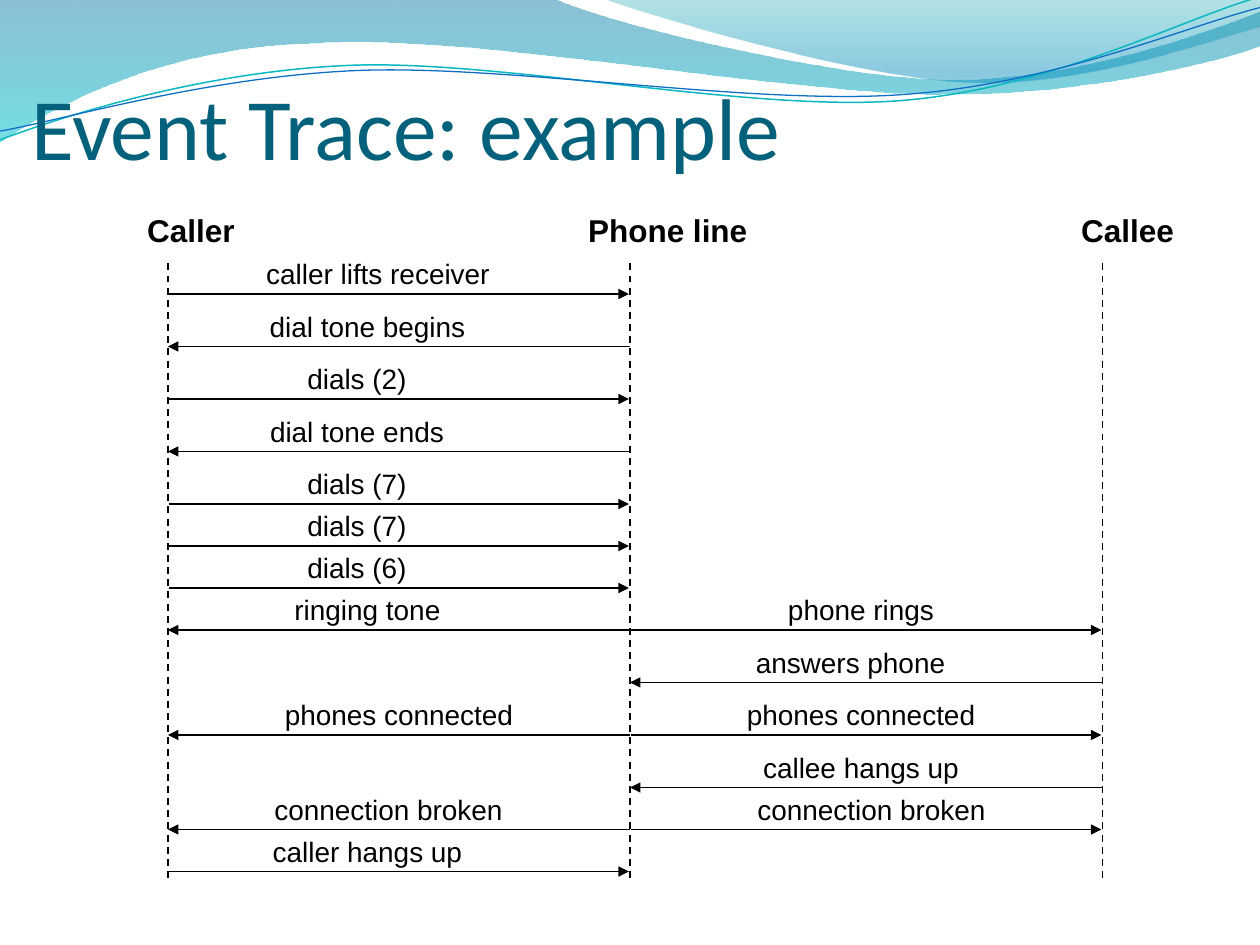
from lxml.etree import Element, SubElement
from pptx import Presentation
from pptx.dml.color import RGBColor
from pptx.enum.dml import MSO_LINE
from pptx.enum.shapes import MSO_CONNECTOR
from pptx.enum.text import MSO_ANCHOR, MSO_AUTO_SIZE, PP_ALIGN
from pptx.oxml.ns import qn
from pptx.util import Pt

BLACK = RGBColor(0x00, 0x00, 0x00)
TITLE_TEAL = RGBColor(0x04, 0x61, 0x7B)
WAVE_BLUE = RGBColor(0x00, 0x74, 0xA1)
WAVE_CYAN = RGBColor(0x00, 0xC6, 0xCF)
CREST_TEAL = RGBColor(0x00, 0xA1, 0xA9)
CREST_BLUE = RGBColor(0x00, 0x8B, 0xBF)
LINE_TEAL = RGBColor(0x0A, 0xB8, 0xBF)
LINE_BLUE = RGBColor(0x0F, 0x6F, 0xC6)

# Outlines: one pair is a straight step, three pairs are a Bezier step
WAVE = [((0, 0),), ((316.8, -0.7),),
        ((342.7, 12.2), (478.1, 45.4), (545.8, 45.4)),
        ((614.2, 45.4), (689.8, 18.7), (720, 6.5)),
        ((720.7, 25.9),),
        ((707.8, 31.7), (626.4, 54.7), (537.1, 54)),
        ((447.8, 54), (275, 20.2), (185, 24.5)),
        ((92.9, 25.9), (33.1, 59.8), (-0.7, 81.4))]
CREST = [((344.9, -0.7),),
         ((366.5, 7.9), (491, 44.6), (553.7, 46.8)),
         ((616.3, 49.7), (691.9, 23), (720, 15.1)),
         ((720, 0),)]
TEAL_CURVE = [((0, 79.9),),
              ((34.6, 67), (113.8, 41), (199.4, 37.4)),
              ((284.4, 33.8), (427, 64.1), (513.4, 57.6)),
              ((599.8, 51.1), (675.4, 10.8), (718.6, -1.4))]
BLUE_CURVE = [((0, 74.9),),
              ((33.8, 69.1), (118.1, 43.9), (203.8, 40.3)),
              ((290.2, 36.7), (429.8, 60.5), (516.2, 54)),
              ((601.9, 48.2), (677.5, 15.1), (720, 4.3))]

# Participant: lifeline x, heading left, heading width (relative to the trace)
PARTICIPANTS = {"Caller": (0, -19, 66), "Phone line": (264, 233, 107),
                "Callee": (534, 514.7, 69)}
# Message: y, sender, receiver, wording, label centre, label width
MESSAGES = [
    (48, "Caller", "Phone line", "caller lifts receiver", 120, 145),
    (78, "Phone line", "Caller", "dial tone begins", 114, 128),
    (108, "Caller", "Phone line", "dials (2)", 108, 73),
    (138, "Phone line", "Caller", "dial tone ends", 108, 116),
    (168, "Caller", "Phone line", "dials (7)", 108, 73),
    (192, "Caller", "Phone line", "dials (7)", 108, 73),
    (216, "Caller", "Phone line", "dials (6)", 108, 73),
    (240, "Phone line", "Caller", "ringing tone", 114, 100),
    (240, "Phone line", "Callee", "phone rings", 396, 100),
    (270, "Callee", "Phone line", "answers phone", 390, 125),
    (300, "Phone line", "Caller", "phones connected", 132, 147),
    (300, "Phone line", "Callee", "phones connected", 396, 147),
    (330, "Callee", "Phone line", "callee hangs up", 396, 128),
    (354, "Phone line", "Caller", "connection broken", 126, 147),
    (354, "Phone line", "Callee", "connection broken", 402, 147),
    (378, "Caller", "Phone line", "caller hangs up", 114, 125),
]
ARROW_GAP = 0.6


def add_text(page, text, left, top, width, height, *, size, font="Arial",
             color=BLACK, bold=False, align=PP_ALIGN.LEFT, anchor=MSO_ANCHOR.TOP,
             spacing=0.9, wrap=False, side_inset=7.2):
    box = page.shapes.add_textbox(Pt(left), Pt(top), Pt(width), Pt(height))
    frame = box.text_frame
    frame.word_wrap = wrap
    frame.auto_size = MSO_AUTO_SIZE.NONE if wrap else MSO_AUTO_SIZE.SHAPE_TO_FIT_TEXT
    frame.vertical_anchor = anchor
    frame.margin_left = frame.margin_right = Pt(side_inset)
    para = frame.paragraphs[0]
    para.alignment = align
    para.line_spacing = spacing
    span = para.add_run()
    span.text = text
    span.font.name = font
    span.font.size = Pt(size)
    span.font.bold = bold
    span.font.color.rgb = color


def add_line(page, x1, y1, x2, y2, dashed=False, arrow=False):
    line = page.shapes.add_connector(MSO_CONNECTOR.STRAIGHT, Pt(x1), Pt(y1), Pt(x2), Pt(y2))
    line.line.color.rgb = BLACK
    line.line.width = Pt(1)
    if dashed:
        line.line.dash_style = MSO_LINE.DASH
    properties = line._element.spPr
    if arrow:
        SubElement(properties.find(qn("a:ln")), qn("a:tailEnd"), type="triangle")
    SubElement(properties, qn("a:effectLst"))


def add_outline(page, steps, left, top, closed):
    points = [(Pt(left + x), Pt(top + y)) for step in steps for x, y in step]
    builder = page.shapes.build_freeform(*points[0])
    builder.add_line_segments(points[1:], close=closed)
    shape = builder.convert_to_shape()
    shape.shadow.inherit = False
    # Join the three segments of each Bezier step into one curve
    segments = iter(list(shape._element.spPr.iter(qn("a:lnTo"))))
    for step in steps[1:]:
        parts = [next(segments) for _ in step]
        if len(parts) == 3:
            curve = Element(qn("a:cubicBezTo"))
            parts[0].addprevious(curve)
            for part in parts:
                curve.append(part[0])
                part.getparent().remove(part)
    return shape


def add_wave(page, steps, left, top, stops):
    shape = add_outline(page, steps, left, top, closed=True)
    shape.line.fill.background()
    shape.fill.gradient()
    shape.fill.gradient_angle = 270
    for stop, (position, color, opacity) in zip(shape.fill.gradient_stops, stops):
        stop.position = position
        stop.color.rgb = color
        SubElement(stop._gs.find(qn("a:srgbClr")), qn("a:alpha"), val=str(opacity * 1000))


def add_curve(page, steps, left, top, color, width):
    shape = add_outline(page, steps, left, top, closed=False)
    shape.fill.background()
    shape.line.color.rgb = color
    shape.line.width = Pt(width)


def draw_banner(page, left, top):
    add_wave(page, WAVE, left, top, [(0, WAVE_BLUE, 45), (1, WAVE_CYAN, 55)])
    add_wave(page, CREST, left, top, [(0, CREST_TEAL, 30), (0.8, CREST_BLUE, 45)])
    add_curve(page, TEAL_CURVE, left, top, LINE_TEAL, 0.85)
    add_curve(page, BLUE_CURVE, left, top, LINE_BLUE, 0.75)


def draw_title(page, left, top, width, height):
    add_text(page, "Event Trace: example", left, top, width, height, size=50,
             font="Calibri", color=TITLE_TEAL, anchor=MSO_ANCHOR.BOTTOM,
             spacing=1.0, wrap=True, side_inset=0)


def draw_trace(page, left, top, height):
    # Lifelines and their headings
    for name, (x, heading_left, width) in PARTICIPANTS.items():
        add_line(page, left + x, top + 30.5, left + x, top + height, dashed=True)
        add_text(page, name, left + heading_left, top - 0.5, width, 27, size=18, bold=True)
    # Messages, each an arrow with its label above
    for y, sender, receiver, wording, centre, width in MESSAGES:
        start, end = PARTICIPANTS[sender][0], PARTICIPANTS[receiver][0]
        gap = ARROW_GAP if start < end else 0
        add_line(page, left + start + gap, top + y, left + end - gap, top + y, arrow=True)
        add_text(page, wording, left + centre - width / 2, top + y - 22.5, width, 24.5,
                 size=16, align=PP_ALIGN.CENTER)


def main():
    deck = Presentation()
    deck.slide_width, deck.slide_height = Pt(720), Pt(540)
    page = deck.slides.add_slide(deck.slide_layouts[6])
    draw_banner(page, 0, 0)
    draw_title(page, 18, 15.5, 690, 90)
    draw_trace(page, 96, 120, 383)
    deck.save("out.pptx")


if __name__ == "__main__":
    main()
